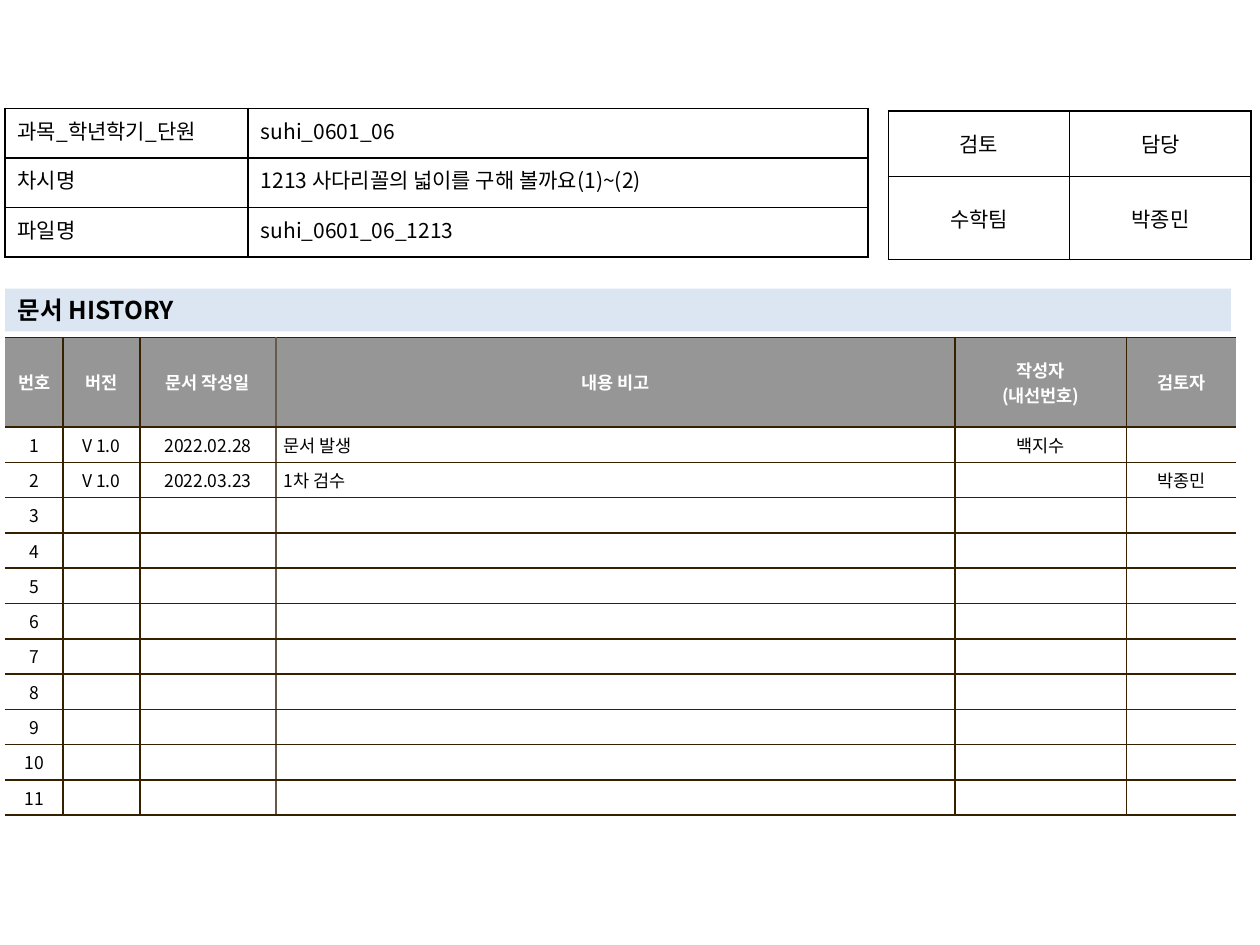
from lxml.etree import SubElement
from pptx import Presentation
from pptx.dml.color import RGBColor
from pptx.enum.text import MSO_ANCHOR, MSO_AUTO_SIZE, PP_ALIGN
from pptx.oxml import parse_xml
from pptx.oxml.ns import nsdecls, qn
from pptx.util import Inches, Pt

COLORS = {
    "black": "000000",
    "white": "FFFFFF",
    "header": "969696",
    "band": "DCE6F2",
    "brown": "362000",
    "taupe": "645B4C",
}
FONT = "Noto Sans CJK KR"
HISTORY_HEADERS = ["번호", "버전", "문서 작성일", "내용 비고", "작성자\n(내선번호)", "검토자"]
HISTORY_ENTRIES = [
    ["V 1.0", "2022.02.28", "문서 발생", "백지수", ""],
    ["V 1.0", "2022.03.23", "1차 검수", "", "박종민"],
]
HISTORY_ROWS = 11
NOTE_COLUMN = 3
LESSON_ROWS = [
    ["과목_학년학기_단원", "suhi_0601_06"],
    ["차시명", "1213 사다리꼴의 넓이를 구해 볼까요(1)~(2)"],
    ["파일명", "suhi_0601_06_1213"],
]
REVIEW_ROWS = [["검토", "담당"], ["수학팀", "박종민"]]


def across(percent):
    return Inches(10 * percent / 100)


def down(percent):
    return Inches(7.5 * percent / 100)


def color(name):
    return RGBColor.from_string(COLORS[name])


def write(frame, text, size=12, bold=False, ink="black", align=PP_ALIGN.LEFT):
    frame.text = text
    for paragraph in frame.paragraphs:
        paragraph.alignment = align
        for span in paragraph.runs:
            span.font.name = FONT
            span.font.size = Pt(size)
            span.font.bold = bold
            span.font.color.rgb = color(ink)
            SubElement(span.font._element, qn("a:ea"), typeface=FONT)
        if not paragraph.runs:
            ending = SubElement(paragraph._p, qn("a:endParaRPr"), sz=str(size * 100))
            for script in ("a:latin", "a:ea"):
                SubElement(ending, qn(script), typeface=FONT)


def draw_borders(cell, **edges):
    properties = cell._tc.get_or_add_tcPr()
    for index, side in enumerate("LRTB"):
        name = edges.get(side)
        paint = f'<a:solidFill><a:srgbClr val="{COLORS[name]}"/></a:solidFill>' if name else "<a:noFill/>"
        line = parse_xml(f'<a:ln{side} {nsdecls("a")} w="{Pt(1)}">{paint}</a:ln{side}>')
        properties.insert(index, line)


def add_grid(page, left, top, columns, rows):
    frame = page.shapes.add_table(
        len(rows), len(columns), across(left), down(top), across(sum(columns)), down(sum(rows))
    )
    table = frame.table
    table.first_row = table.horz_banding = False
    for column, width in zip(table.columns, columns):
        column.width = across(width)
    for row, height in zip(table.rows, rows):
        row.height = down(height)
    return table


def add_plain_table(page, left, top, columns, rows, texts, aligns, anchor):
    table = add_grid(page, left, top, columns, rows)
    for row, values in enumerate(texts):
        for column, text in enumerate(values):
            cell = table.cell(row, column)
            write(cell.text_frame, text, align=aligns[column])
            cell.vertical_anchor = anchor
            cell.fill.background()
            draw_borders(cell, **dict.fromkeys("LRTB", "black"))


def add_history_table(page):
    columns = [4.6, 6.1, 10.8, 53.9, 13.6, 8.7]
    table = add_grid(page, 0.4, 35.73, columns, [9.47] + [3.33] * HISTORY_ROWS)
    blanks = [[""] * 5] * (HISTORY_ROWS - len(HISTORY_ENTRIES))
    entries = [[str(number), *entry] for number, entry in enumerate(HISTORY_ENTRIES + blanks, 1)]
    verticals = [None, "brown", "brown", "taupe", "brown", "brown", None]
    for row, values in enumerate([HISTORY_HEADERS] + entries):
        header = row == 0
        for column, text in enumerate(values):
            cell = table.cell(row, column)
            is_note = column == NOTE_COLUMN and not header
            write(
                cell.text_frame, text, size=10, bold=header,
                ink="white" if header else "black",
                align=PP_ALIGN.LEFT if is_note else PP_ALIGN.CENTER,
            )
            cell.vertical_anchor = MSO_ANCHOR.MIDDLE
            cell.margin_left = cell.margin_right = Inches(0.06)
            cell.margin_top = cell.margin_bottom = Inches(0.04)
            cell.fill.solid()
            cell.fill.fore_color.rgb = color("header" if header else "white")
            draw_borders(cell, L=verticals[column], R=verticals[column + 1], T="brown", B="brown")


def add_heading(page, text):
    box = page.shapes.title
    box.left, box.top, box.width, box.height = across(0.4), down(30.53), across(97.3), down(4.53)
    box.fill.solid()
    box.fill.fore_color.rgb = color("band")
    frame = box.text_frame
    frame.word_wrap = True
    frame.auto_size = MSO_AUTO_SIZE.NONE
    frame.vertical_anchor = MSO_ANCHOR.MIDDLE
    write(frame, text, size=14, bold=True)


def main():
    deck = Presentation()
    deck.slide_width, deck.slide_height = across(100), down(100)
    page = deck.slides.add_slide(deck.slide_layouts.get_by_name("Title Only"))
    add_history_table(page)
    add_plain_table(
        page, 70.5, 11.73, [14.4] * 2, [6.93, 8.8], REVIEW_ROWS,
        [PP_ALIGN.CENTER] * 2, MSO_ANCHOR.MIDDLE,
    )
    add_heading(page, "문서 HISTORY")
    add_plain_table(
        page, 0.4, 11.47, [19.3, 49.2], [5.24] * 3, LESSON_ROWS,
        [PP_ALIGN.JUSTIFY, PP_ALIGN.LEFT], MSO_ANCHOR.TOP,
    )
    deck.save("out.pptx")


if __name__ == "__main__":
    main()
